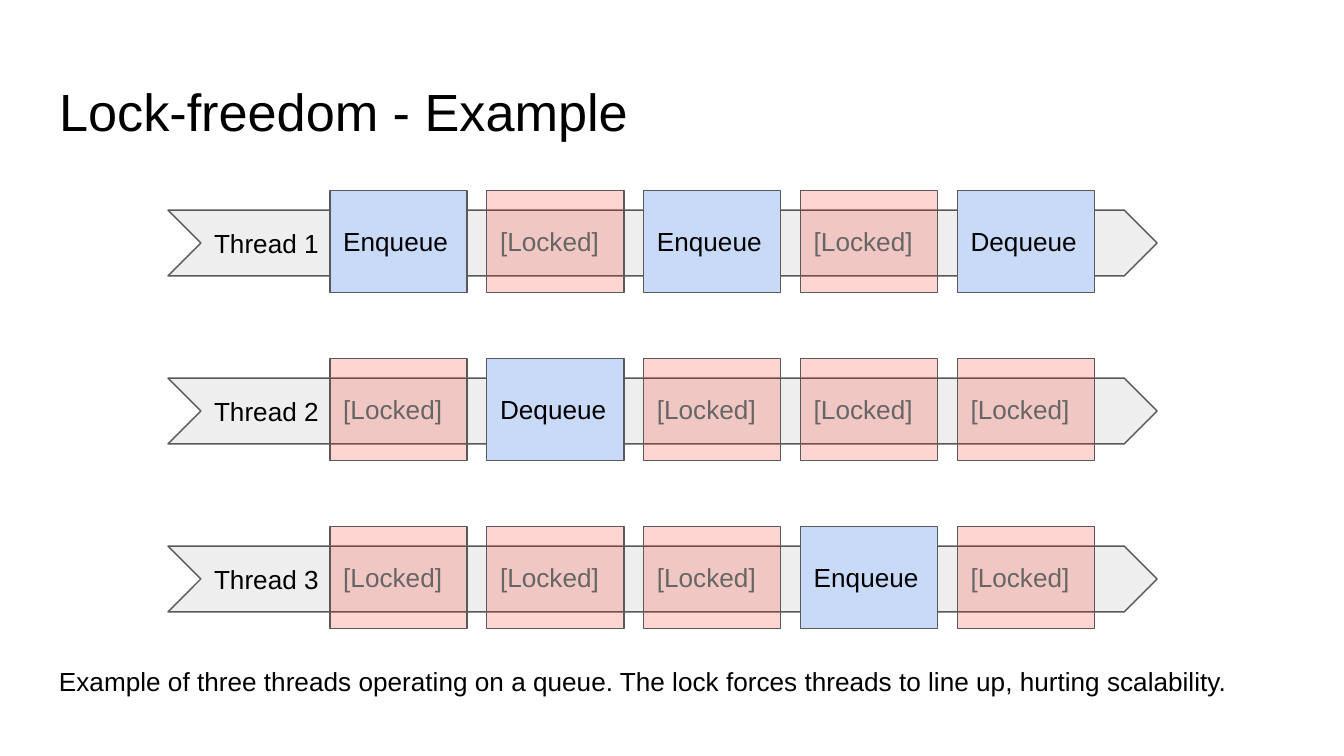
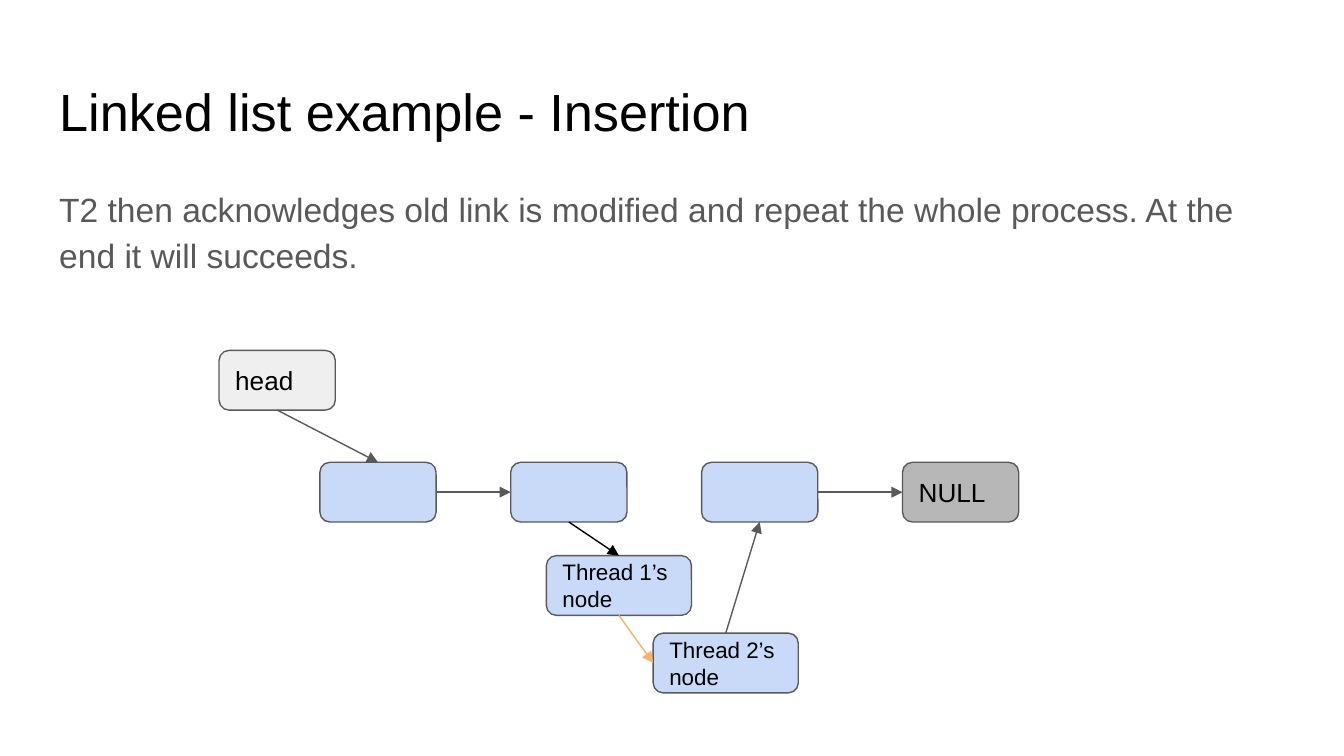
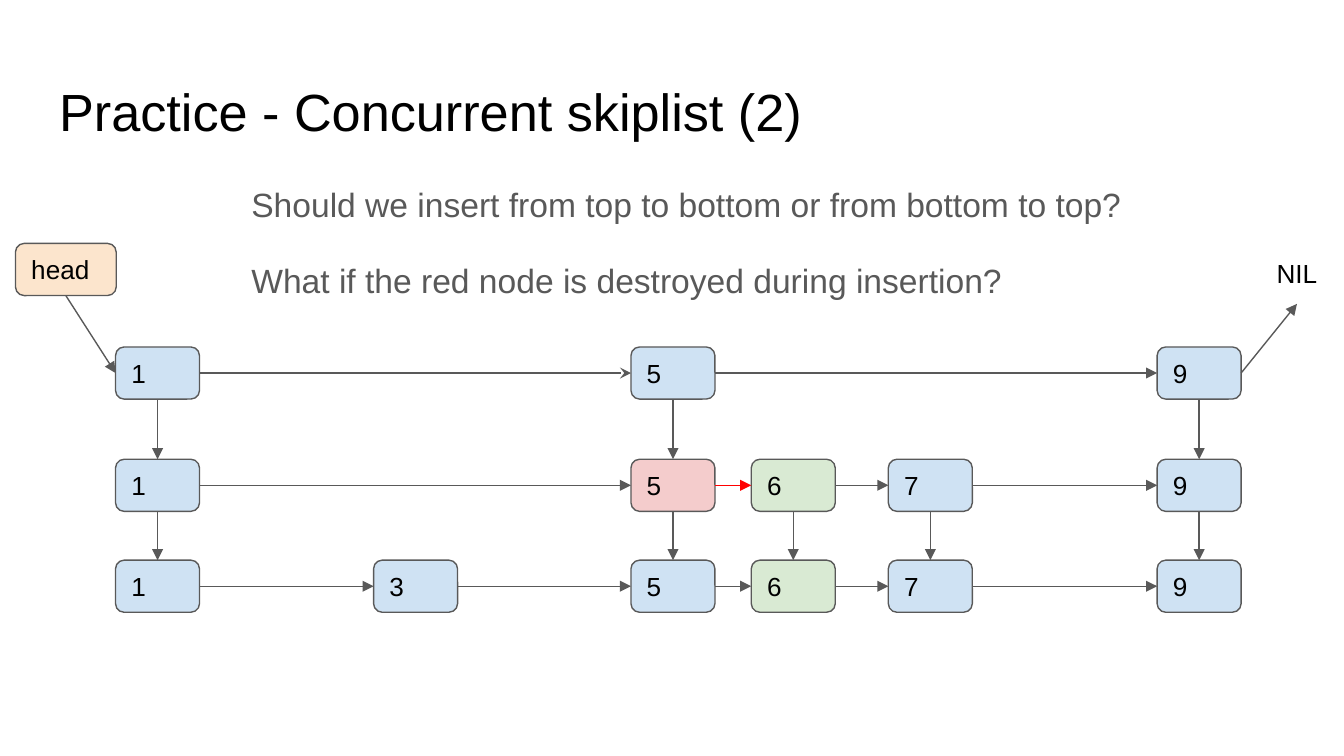
from dataclasses import dataclass

from lxml.etree import SubElement
from pptx import Presentation
from pptx.dml.color import RGBColor
from pptx.enum.shapes import MSO_CONNECTOR, MSO_SHAPE
from pptx.enum.text import MSO_ANCHOR, MSO_AUTO_SIZE, PP_ALIGN
from pptx.oxml.ns import qn
from pptx.util import Inches, Pt


@dataclass(frozen=True)
class Theme:
    font: str = "Arial"
    title_size: int = 28
    body_size: int = 18
    label_size: int = 14
    small_size: int = 12
    line_width: float = 0.75
    black: str = "000000"
    gray: str = "595959"
    muted: str = "666666"
    lane: str = "EEEEEE"
    blue: str = "C9DAF8"
    lock: str = "FF1A00"
    head: str = "EFEFEF"
    null: str = "B7B7B7"
    orange: str = "F6B26B"
    sky: str = "CFE2F3"
    pink: str = "F4CCCC"
    green: str = "D9EAD3"
    peach: str = "FCE5CD"
    red: str = "FF0000"


theme = Theme()
TOP, LEFT, BOTTOM, RIGHT = range(4)  # connection sites of a box

deck = Presentation()
deck.slide_width, deck.slide_height = Inches(10), Inches(5.625)

# The grid: 100 columns by 100 rows
COL, ROW = deck.slide_width / 100, deck.slide_height / 100


def dress(shape, at, text="", size=theme.label_size, ink=theme.black, fill=None):
    """Place a shape on the grid, fill it and set its text."""
    left, top, width, height = at
    shape.left, shape.top = round(left * COL), round(top * ROW)
    shape.width, shape.height = round(width * COL), round(height * ROW)
    if fill:
        shape.shadow.inherit = False
        shape.fill.solid()
        shape.fill.fore_color.rgb = RGBColor.from_string(fill)
        shape.line.color.rgb = RGBColor.from_string(theme.gray)
        shape.line.width = Pt(theme.line_width)
    frame = shape.text_frame
    frame.word_wrap = True
    frame.auto_size = MSO_AUTO_SIZE.NONE
    frame.vertical_anchor = MSO_ANCHOR.MIDDLE if fill else MSO_ANCHOR.TOP
    frame.margin_left = frame.margin_right = Inches(0.1)
    frame.margin_top = frame.margin_bottom = Inches(0.1)
    frame.text = text
    for para in frame.paragraphs:
        para.alignment = PP_ALIGN.LEFT
        for span in para.runs:
            span.font.name = theme.font
            span.font.size = Pt(size)
            span.font.color.rgb = RGBColor.from_string(ink)
    return shape


def add_arrow(page, start, start_side, end, end_side, color=theme.gray, tip="triangle"):
    """Join two boxes with a straight arrow."""
    arrow = page.shapes.add_connector(MSO_CONNECTOR.STRAIGHT, 0, 0, 0, 0)
    arrow.begin_connect(start, start_side)
    arrow.end_connect(end, end_side)
    arrow.line.color.rgb = RGBColor.from_string(color)
    arrow.line.width = Pt(theme.line_width)
    properties = arrow._element.spPr
    SubElement(properties.find(qn("a:ln")), qn("a:tailEnd"), type=tip)
    SubElement(properties, qn("a:effectLst"))


# Pages with their titles and body text
outline = [
    ("Lock-freedom - Example", None, []),
    ("Linked list example - Insertion", (3.4, 22.4, 93.2, 66.5),
     ["T2 then acknowledges old link is modified and repeat the whole process. "
      "At the end it will succeeds."]),
    ("Practice - Concurrent skiplist (2)", (17.7, 21.7, 69.6, 18.5),
     ["Should we insert from top to bottom or from bottom to top?",
      "What if the red node is destroyed during insertion?"]),
]
pages = []
for title, body_at, lines in outline:
    page = deck.slides.add_slide(deck.slide_layouts[1 if lines else 5])
    dress(page.shapes.title, (3.4, 8.7, 93.2, 11.2), title, theme.title_size)
    if lines:
        body = dress(page.placeholders[1], body_at, "\n".join(lines),
                     theme.body_size, theme.gray)
        for number, para in enumerate(body.text_frame.paragraphs):
            para.line_spacing = 1.15
            para.space_before = Pt(16 if number else 0)
            para.space_after = Pt(16 if number == len(lines) - 1 else 0)
            settings = para._p.get_or_add_pPr()
            settings.set("marL", "0")
            settings.set("indent", "0")
            SubElement(settings, qn("a:buNone"))
    pages.append(page)
lock_page, list_page, skip_page = pages

# Lock-freedom: one lane per thread, five time slots each
LOCKED = "[Locked]"
threads = [
    ["Enqueue", LOCKED, "Enqueue", LOCKED, "Dequeue"],
    [LOCKED, "Dequeue", LOCKED, LOCKED, LOCKED],
    [LOCKED, LOCKED, LOCKED, "Enqueue", LOCKED],
]
for number, slots in enumerate(threads):
    drop = number * 22.22
    lane = lock_page.shapes.add_shape(MSO_SHAPE.CHEVRON, 0, 0, 0, 0)
    dress(lane, (12.5, 27.8 + drop, 73.6, 8.7), f"Thread {number + 1}", fill=theme.lane)
    for slot, action in enumerate(slots):
        locked = action == LOCKED
        box = lock_page.shapes.add_shape(MSO_SHAPE.RECTANGLE, 0, 0, 0, 0)
        dress(box, (24.55 + slot * 11.67, 25.2 + drop, 10.2, 13.5), action,
              ink=theme.muted if locked else theme.black,
              fill=theme.lock if locked else theme.blue)
        if locked:
            color = box._element.spPr.find(qn("a:solidFill"))[0]
            SubElement(color, qn("a:alpha"), val="18000")
note = lock_page.shapes.add_textbox(0, 0, 0, 0)
dress(note, (3.4, 86.2, 93.2, 9.8),
      "Example of three threads operating on a queue. "
      "The lock forces threads to line up, hurting scalability.")

# Linked list: name, left, top, width, text, size, fill
list_nodes = [
    ("thread 1", 40.65, 73.5, 10.8, "Thread 1’s node", theme.small_size, theme.blue),
    ("first", 23.8, 61.15, 8.65, "", theme.label_size, theme.blue),
    ("second", 38, 61.15, 8.65, "", theme.label_size, theme.blue),
    ("third", 52.2, 61.15, 8.65, "", theme.label_size, theme.blue),
    ("null", 67.15, 61.15, 8.65, "NULL", theme.label_size, theme.null),
    ("head", 16.3, 46.35, 8.65, "head", theme.label_size, theme.head),
    ("thread 2", 48.6, 83.75, 10.8, "Thread 2’s node", theme.small_size, theme.blue),
]
nodes = {}
for name, left, top, width, text, size, fill in list_nodes:
    box = list_page.shapes.add_shape(MSO_SHAPE.ROUNDED_RECTANGLE, 0, 0, 0, 0)
    nodes[name] = dress(box, (left, top, width, 7.9), text, size, fill=fill)
list_links = [
    ("first", RIGHT, "second", LEFT, theme.gray),
    ("third", RIGHT, "null", LEFT, theme.gray),
    ("head", BOTTOM, "first", TOP, theme.gray),
    ("thread 1", BOTTOM, "thread 2", LEFT, theme.orange),
    ("thread 2", TOP, "third", BOTTOM, theme.gray),
    ("second", BOTTOM, "thread 1", TOP, theme.black),
]
for start, start_side, end, end_side, color in list_links:
    add_arrow(list_page, nodes[start], start_side, nodes[end], end_side, color)

# Skiplist: a column per key, a row per level
key_lefts = {1: 8.6, 3: 27.8, 5: 46.95, 6: 55.9, 7: 66.1, 9: 86.1}
levels = [
    (45.9, [1, 5, 9]),
    (60.75, [1, 5, 6, 7, 9]),
    (74.1, [1, 3, 5, 6, 7, 9]),
]
towers = {}
for level, (top, keys) in enumerate(levels):
    for key in keys:
        fill = theme.green if key == 6 else theme.sky
        if (level, key) == (1, 5):
            fill = theme.pink
        box = skip_page.shapes.add_shape(MSO_SHAPE.ROUNDED_RECTANGLE, 0, 0, 0, 0)
        towers[level, key] = dress(box, (key_lefts[key], top, 6.25, 6.9), str(key), fill=fill)

# Arrows along each level and down each tower
for level, (top, keys) in enumerate(levels):
    for key, following in zip(keys, keys[1:]):
        add_arrow(skip_page, towers[level, key], RIGHT, towers[level, following], LEFT,
                  theme.red if (level, key) == (1, 5) else theme.gray,
                  "stealth" if (level, key) == (0, 1) else "triangle")
    for key in keys:
        if (level - 1, key) in towers:
            add_arrow(skip_page, towers[level - 1, key], BOTTOM, towers[level, key], TOP)

# Both ends of the skiplist
head = skip_page.shapes.add_shape(MSO_SHAPE.ROUNDED_RECTANGLE, 0, 0, 0, 0)
dress(head, (1.15, 32.2, 7.5, 6.9), "head", fill=theme.peach)
nil = dress(skip_page.shapes.add_textbox(0, 0, 0, 0), (93, 32.2, 7, 8), "NIL")
nil.text_frame.paragraphs[0].alignment = PP_ALIGN.CENTER
add_arrow(skip_page, head, BOTTOM, towers[0, 1], LEFT)
add_arrow(skip_page, towers[0, 9], RIGHT, nil, BOTTOM)

deck.save("out.pptx")
